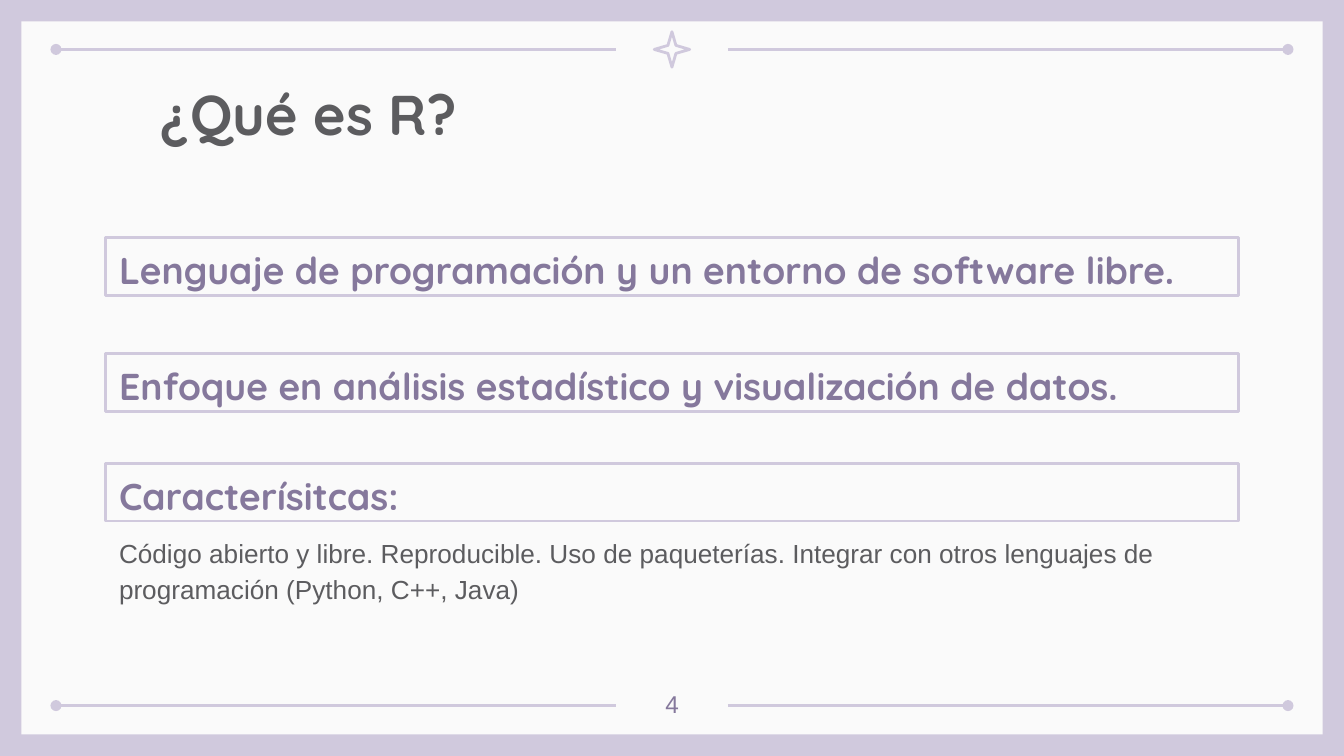
from dataclasses import dataclass

from lxml import etree
from pptx import Presentation
from pptx.dml.color import RGBColor
from pptx.enum.shapes import MSO_CONNECTOR, MSO_SHAPE
from pptx.enum.text import MSO_ANCHOR, PP_ALIGN
from pptx.oxml.ns import qn
from pptx.util import Pt

STRAIGHT = MSO_CONNECTOR.STRAIGHT
RECTANGLE, STAR = MSO_SHAPE.RECTANGLE, MSO_SHAPE.STAR_4_POINT
TOP, MIDDLE = MSO_ANCHOR.TOP, MSO_ANCHOR.MIDDLE
LEFT, CENTER = PP_ALIGN.LEFT, PP_ALIGN.CENTER


@dataclass(frozen=True)
class Theme:
    lilac = RGBColor.from_string("D0C9DD")
    paper = RGBColor.from_string("FAFAFA")
    gray = RGBColor.from_string("5C5C5F")
    purple = RGBColor.from_string("85789C")
    heading_font = "Quicksand"
    body_font = "Arial"
    title_size = 30
    heading_size = 20
    body_size = 14
    number_size = 13
    line_width = 1.5


theme = Theme()


def write_text(shape, text, *, size, color, font=theme.body_font, bold=False,
               align=LEFT, anchor=TOP, spacing=1.0):
    frame = shape.text_frame
    frame.word_wrap = True
    frame.vertical_anchor = anchor
    frame.margin_left = frame.margin_right = Pt(7.2)
    frame.margin_top = frame.margin_bottom = Pt(7.2)
    para = frame.paragraphs[0]
    para.alignment = align
    para.line_spacing = spacing
    para.space_before = Pt(0)
    span = para.add_run()
    span.text = text
    span.font.name = font
    span.font.size = Pt(size)
    span.font.bold = bold
    span.font.color.rgb = color


def add_outline(kind, left, top, width, height):
    shape = page.shapes.add_shape(kind, Pt(left), Pt(top), Pt(width), Pt(height))
    shape.shadow.inherit = False
    shape.fill.background()
    shape.line.color.rgb = theme.lilac
    shape.line.width = Pt(theme.line_width)
    return shape


deck = Presentation()
deck.slide_width, deck.slide_height = Pt(720), Pt(405)
page = deck.slides.add_slide(deck.slide_layouts[5])
page.background.fill.solid()
page.background.fill.fore_color.rgb = theme.lilac

# Frame: paper panel, ruled lines with round outer ends, star
panel = page.shapes.add_shape(RECTANGLE, Pt(11.5), Pt(11.5), Pt(697), Pt(382))
panel.shadow.inherit = False
panel.fill.solid()
panel.fill.fore_color.rgb = theme.paper
panel.line.fill.background()

for y in (26.5, 378):
    for start, end, dotted_end in ((30, 330, "a:headEnd"), (390, 690, "a:tailEnd")):
        rule = page.shapes.add_connector(STRAIGHT, Pt(start), Pt(y), Pt(end), Pt(y))
        rule.line.color.rgb = theme.lilac
        rule.line.width = Pt(theme.line_width)
        etree.SubElement(rule.line._get_or_add_ln(), qn(dotted_end), type="oval")
        etree.SubElement(rule._element.spPr, qn("a:effectLst"))

star = add_outline(STAR, 350.5, 17, 19, 19)
star.adjustments[0] = 0.16

# Title, brought in front of the panel
title = page.shapes.title
title.element.getparent().append(title.element)
title.left, title.top, title.width, title.height = Pt(79), Pt(35.5), Pt(607), Pt(45)
write_text(title, "¿Qué es R?", size=theme.title_size, color=theme.gray,
           font=theme.heading_font, bold=True)

# Content
column_left, column_width = 56.7, 607
details = page.shapes.add_textbox(Pt(column_left), Pt(278), Pt(column_width), Pt(42))
write_text(details,
           "Código abierto y libre. Reproducible. Uso de paqueterías. "
           "Integrar con otros lenguajes de programación (Python, C++, Java)",
           size=theme.body_size, color=theme.gray, spacing=1.15)

headings = (
    (127.3, "Lenguaje de programación y un entorno de software libre."),
    (189.3, "Enfoque en análisis estadístico y visualización de datos."),
    (248.2, "Caracterísitcas:"),
)
for top, text in headings:
    box = add_outline(RECTANGLE, column_left, top, column_width, 31)
    write_text(box, text, size=theme.heading_size, color=theme.purple,
               font=theme.heading_font, bold=True, anchor=MIDDLE, spacing=1.15)

number = page.shapes.add_textbox(Pt(338.5), Pt(362), Pt(43), Pt(26))
write_text(number, "4", size=theme.number_size, color=theme.purple, align=CENTER)

deck.save("out.pptx")
